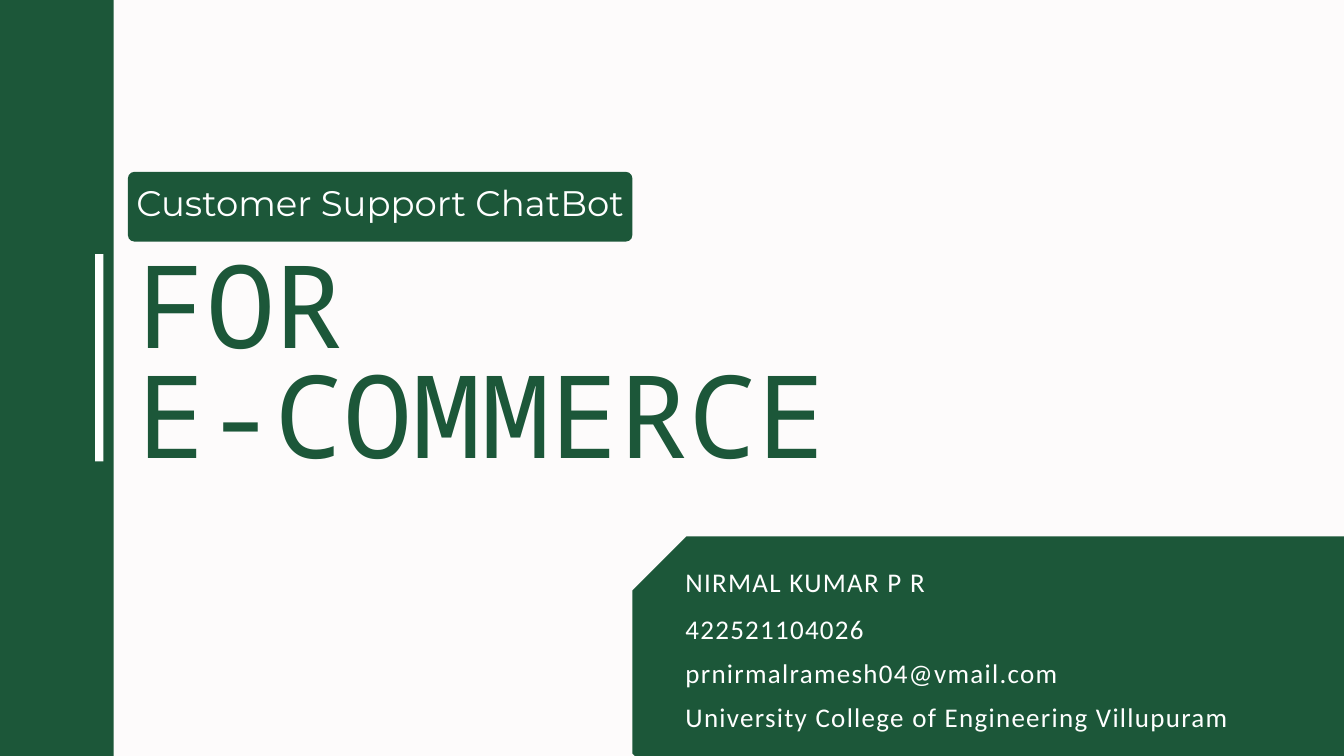
from pptx import Presentation
from pptx.dml.color import RGBColor
from pptx.enum.shapes import MSO_SHAPE
from pptx.enum.text import MSO_ANCHOR, PP_ALIGN
from pptx.util import Pt

RECT, ROUND, OCTAGON = MSO_SHAPE.RECTANGLE, MSO_SHAPE.ROUNDED_RECTANGLE, MSO_SHAPE.OCTAGON
LEFT, CENTER, JUSTIFY = PP_ALIGN.LEFT, PP_ALIGN.CENTER, PP_ALIGN.JUSTIFY
TOP, MIDDLE = MSO_ANCHOR.TOP, MSO_ANCHOR.MIDDLE
GREEN, WHITE, PAPER = "1C5739", "FFFFFF", "FDFBFB"

SHAPES = [
    (OCTAGON, (677.5, 574.6, 900.7, 290.9), GREEN, 0.2),
    (RECT, (-121.7, -43.9, 243.4, 889.9), GREEN, None),
    (RECT, (102, 272.4, 8.9, 222), WHITE, None),
    (ROUND, (137.1, 184.2, 540.4, 74.6), GREEN, 0.09),
]
TOPIC = ["Customer Support ChatBot"]
TITLE = ["FOR", "E-COMMERCE"]
DETAILS = [
    ("NIRMAL KUMAR P R", 599.8, 310.3),
    ("422521104026", 650.2, 310.3),
    ("prnirmalramesh04@vmail.com", 697.7, 478.1),
    ("University College of Engineering Villupuram", 745.2, 705.6),
]


def color(code):
    return RGBColor.from_string(code)


def add_block(slide, kind, box, fill, corner):
    shape = slide.shapes.add_shape(kind, *map(Pt, box))
    shape.shadow.inherit = False
    shape.fill.solid()
    shape.fill.fore_color.rgb = color(fill)
    shape.line.fill.background()
    if corner is not None:
        shape.adjustments[0] = corner


def add_text(slide, lines, box, font, size, ink, pitch, align,
             anchor=TOP, inset=0, gap=0):
    frame = slide.shapes.add_textbox(*map(Pt, box)).text_frame
    frame.word_wrap = True
    frame.vertical_anchor = anchor
    frame.margin_left = frame.margin_right = Pt(inset)
    frame.margin_top = frame.margin_bottom = Pt(inset)
    frame.text = "\n".join(lines)
    for para in frame.paragraphs:
        para.alignment = align
        para.line_spacing = Pt(pitch)
        for run in para.runs:
            run.font.name = font
            run.font.size = Pt(size)
            run.font.color.rgb = color(ink)
            if gap:
                run.font._element.set("spc", str(gap))


def main():
    """Build the title slide and save it."""
    deck = Presentation()
    deck.slide_width, deck.slide_height = Pt(1440), Pt(810)
    slide = deck.slides.add_slide(deck.slide_layouts[6])
    slide.background.fill.solid()
    slide.background.fill.fore_color.rgb = color(PAPER)

    for block in SHAPES:
        add_block(slide, *block)
    add_text(slide, TOPIC, (137.1, 171.4, 540.4, 87.4), "Montserrat", 38,
             WHITE, 49.4, CENTER, MIDDLE, inset=4)
    add_text(slide, TITLE, (146.9, 280.1, 846.7, 257), "Noto Sans Mono", 123.1,
             GREEN, 118.1, LEFT)
    for line, top, width in DETAILS:
        add_text(slide, [line], (734.4, top, width, 38.9), "Calibri", 28.9,
                 WHITE, 40.5, JUSTIFY, gap=140)
    deck.save("out.pptx")


if __name__ == "__main__":
    main()
